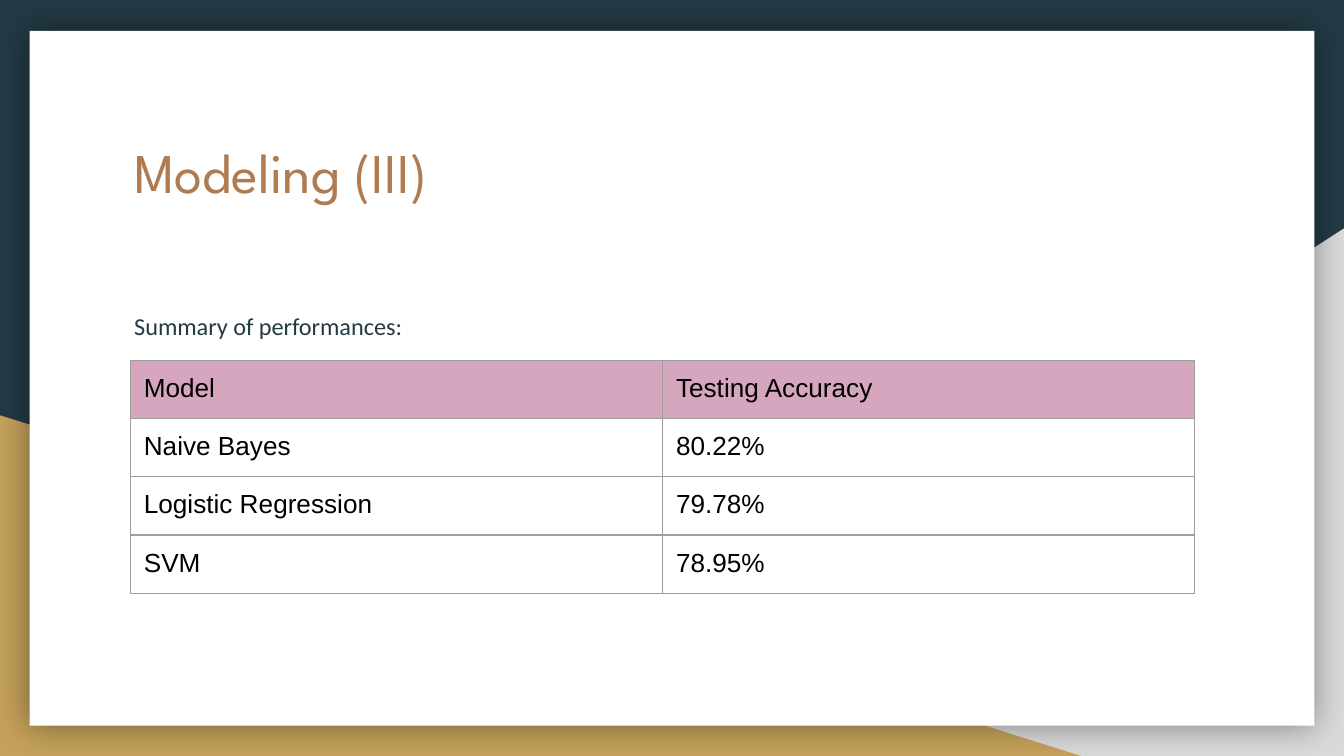
import dataclasses

import pptx
import pptx.dml.color
import pptx.enum.shapes
import pptx.enum.text
import pptx.oxml
import pptx.oxml.ns
import pptx.util
from pptx.util import Inches

NAVY = "233A44"
GREY = "D9D9D9"
GOLD = "C4A15A"
WHITE = "FFFFFF"
BROWN = "AF7B51"
PINK = "D5A6BD"
BLACK = "000000"
BORDER = "9E9E9E"
INSET = Inches(0.1)
SHAPES = pptx.enum.shapes.MSO_SHAPE


@dataclasses.dataclass
class Panel:
    preset: int
    left: float
    top: float
    width: float
    height: float
    color: str
    flipped: bool = False
    shadowed: bool = False


PANELS = [
    Panel(SHAPES.RIGHT_TRIANGLE, 3.92, 1.7, 6.08, 3.93, GREY, flipped=True),
    Panel(SHAPES.RIGHT_TRIANGLE, 0, 3.09, 8.06, 2.54, GOLD),
    Panel(SHAPES.RECTANGLE, 0.22, 0.23, 9.56, 5.17, WHITE, shadowed=True),
]
RESULTS = [
    ("Model", "Testing Accuracy"),
    ("Naive Bayes", "80.22%"),
    ("Logistic Regression", "79.78%"),
    ("SVM", "78.95%"),
]


def rgb(color: str) -> pptx.dml.color.RGBColor:
    return pptx.dml.color.RGBColor.from_string(color)


def paint(fill, color: str) -> None:
    fill.solid()
    fill.fore_color.rgb = rgb(color)


def add_glow_shadow(shape) -> None:
    """Put a soft black shadow evenly around the shape."""
    effects = shape.element.spPr.find(pptx.oxml.ns.qn("a:effectLst"))
    effects.append(pptx.oxml.parse_xml(
        f'<a:outerShdw {pptx.oxml.ns.nsdecls("a")} blurRad="{pptx.util.Pt(18)}"'
        ' dist="0" dir="0" algn="ctr" rotWithShape="0">'
        f'<a:srgbClr val="{BLACK}"><a:alpha val="40000"/></a:srgbClr></a:outerShdw>'
    ))


def add_panel(page, panel: Panel) -> None:
    shape = page.shapes.add_shape(
        panel.preset, Inches(panel.left), Inches(panel.top),
        Inches(panel.width), Inches(panel.height))
    paint(shape.fill, panel.color)
    shape.line.fill.background()
    shape.shadow.inherit = False
    if panel.flipped:
        shape.element.spPr.get_or_add_xfrm().set("flipH", "1")
    if panel.shadowed:
        add_glow_shadow(shape)


def write(frame, text: str, *, size: float, font: str, color: str,
          spacing: float = 1.0) -> None:
    para = frame.paragraphs[0]
    para.line_spacing = spacing
    span = para.add_run()
    span.text = text
    span.font.size = pptx.util.Pt(size)
    span.font.name = font
    span.font.color.rgb = rgb(color)


def add_text(page, text: str, top: float, height: float, **style) -> None:
    box = page.shapes.add_textbox(
        Inches(0.9), Inches(top), Inches(8.21), Inches(height))
    frame = box.text_frame
    frame.word_wrap = True
    frame.vertical_anchor = pptx.enum.text.MSO_ANCHOR.TOP
    frame.margin_left = frame.margin_right = INSET
    frame.margin_top = frame.margin_bottom = INSET
    write(frame, text, **style)


def add_borders(cell) -> None:
    properties = cell._tc.get_or_add_tcPr()
    for index, side in enumerate(("lnL", "lnR", "lnT", "lnB")):
        properties.insert(index, pptx.oxml.parse_xml(
            f'<a:{side} {pptx.oxml.ns.nsdecls("a")} w="{pptx.util.Pt(0.75)}">'
            f'<a:solidFill><a:srgbClr val="{BORDER}"/></a:solidFill></a:{side}>'
        ))


def add_results(page, rows: list[tuple[str, str]]) -> None:
    columns = len(rows[0])
    table = page.shapes.add_table(
        len(rows), columns, Inches(0.97), Inches(2.68),
        Inches(3.96 * columns), Inches(0.42 * len(rows))).table
    table.horz_banding = False
    for row, values in enumerate(rows):
        for column, value in enumerate(values):
            cell = table.cell(row, column)
            cell.margin_left = cell.margin_right = INSET
            cell.margin_top = cell.margin_bottom = INSET
            if row == 0:
                paint(cell.fill, PINK)
            else:
                cell.fill.background()
            add_borders(cell)
            write(cell.text_frame, value, size=14, font="Arial", color=BLACK)


def main() -> None:
    deck = pptx.Presentation()
    deck.slide_width = Inches(10)
    deck.slide_height = Inches(5.625)
    page = deck.slides.add_slide(deck.slide_layouts[6])
    paint(page.background.fill, NAVY)
    for panel in PANELS:
        add_panel(page, panel)
    add_text(page, "Modeling (III)", 0.92, 1.04,
             size=30, font="League Spartan", color=BROWN)
    add_text(page, "Summary of performances:", 2.18, 2.68,
             size=13, font="Calibri", color=NAVY, spacing=1.15)
    add_results(page, RESULTS)
    deck.save("out.pptx")


if __name__ == "__main__":
    main()
